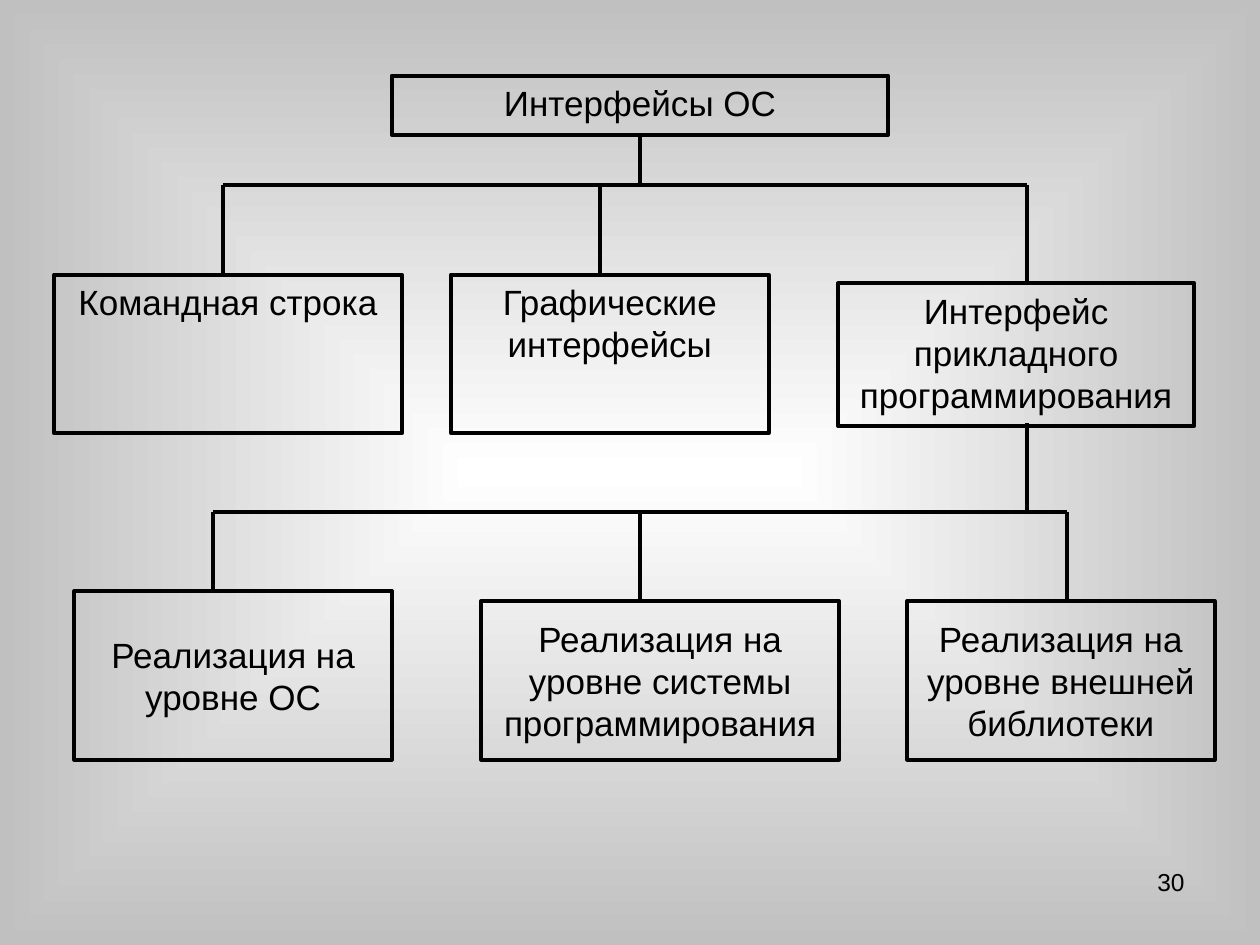
import lxml.etree
import pptx
import pptx.util
import pptx.dml.color
import pptx.enum.shapes
import pptx.enum.text
import pptx.oxml
import pptx.oxml.ns
from pptx.util import Inches

COLORS = {"ink": "000000", "center": "FFFFFF", "edge": "C0C0C0"}
FONT = "Arial"
ANCHOR = pptx.enum.text.MSO_ANCHOR
ALIGN = pptx.enum.text.PP_ALIGN

# text, left, top, width, height, vertical anchor
BOXES = [
    ("Интерфейсы ОС", 3.11, 0.6, 3.94, 0.47, ANCHOR.TOP),
    ("Графические интерфейсы", 3.58, 2.18, 2.52, 1.26, ANCHOR.TOP),
    ("Командная строка", 0.43, 2.18, 2.76, 1.26, ANCHOR.TOP),
    ("Интерфейс прикладного программирования", 6.65, 2.25, 2.83, 1.13, ANCHOR.TOP),
    ("Реализация на уровне ОС", 0.59, 4.69, 2.52, 1.34, ANCHOR.MIDDLE),
    ("Реализация на уровне системы программирования", 3.82, 4.77, 2.84, 1.26, ANCHOR.MIDDLE),
    ("Реализация на уровне внешней библиотеки", 7.2, 4.77, 2.44, 1.26, ANCHOR.MIDDLE),
]

# Each branch: stem from the parent, height of the bar, (x, bottom) of each drop
BRANCHES = [
    {"stem": (5.08, 1.07), "bar": 1.47, "drops": [(1.77, 2.18), (4.76, 2.18), (8.15, 2.25)]},
    {"stem": (8.15, 3.36), "bar": 4.06, "drops": [(1.69, 4.69), (5.08, 4.77), (8.47, 4.77)]},
]
PAGE_NUMBER = ("30", 7.17, 6.83, 2.33, 0.52)


def rgb(name):
    """Return a named colour."""
    return pptx.dml.color.RGBColor.from_string(COLORS[name])


def paint_background(page):
    """Fill the page with a gradient that spreads from its centre."""
    fill = page.background.fill
    fill.gradient()
    for stop, name, position in zip(fill.gradient_stops, ("center", "edge"), (0, 1)):
        stop.color.rgb = rgb(name)
        stop.position = position
    linear = next(page.element.iter(pptx.oxml.ns.qn("a:lin")))
    linear.getparent().replace(linear, pptx.oxml.parse_xml(
        f'<a:path {pptx.oxml.ns.nsdecls("a")} path="rect">'
        '<a:fillToRect l="50000" t="50000" r="50000" b="50000"/></a:path>'))


def write(shape, text, size, align, anchor):
    """Put one formatted paragraph into a shape."""
    frame = shape.text_frame
    frame.word_wrap = True
    frame.vertical_anchor = anchor
    frame.text = text
    para = frame.paragraphs[0]
    para.alignment = align
    font = para.runs[0].font
    font.name, font.size = FONT, pptx.util.Pt(size)
    font.color.rgb = rgb("ink")


def style_line(line):
    """Give a line the stroke of the diagram."""
    line.color.rgb = rgb("ink")
    line.width = pptx.util.Pt(2.25)


def add_box(shapes, text, left, top, width, height, anchor):
    """Add an outlined box with centred text."""
    box = shapes.add_shape(pptx.enum.shapes.MSO_SHAPE.RECTANGLE,
                           *map(Inches, (left, top, width, height)))
    box.shadow.inherit = False
    box.fill.background()
    style_line(box.line)
    write(box, text, 20, ALIGN.CENTER, anchor)


def add_line(shapes, *ends):
    """Add a straight line from x1, y1 to x2, y2."""
    line = shapes.add_connector(pptx.enum.shapes.MSO_CONNECTOR.STRAIGHT, *map(Inches, ends))
    style_line(line.line)
    lxml.etree.SubElement(line.element.spPr, pptx.oxml.ns.qn("a:effectLst"))


def add_branch(shapes, stem, bar, drops):
    """Join a parent to its children through a horizontal bar."""
    x, top = stem
    add_line(shapes, drops[0][0], bar, drops[-1][0], bar)
    add_line(shapes, x, top, x, bar)
    for x, bottom in drops:
        add_line(shapes, x, bar, x, bottom)


def build():
    """Build and save the slide."""
    deck = pptx.Presentation()
    deck.slide_width, deck.slide_height = Inches(10), Inches(7.5)
    page = deck.slides.add_slide(deck.slide_layouts[6])
    paint_background(page)
    diagram = page.shapes.add_group_shape().shapes
    for box in BOXES:
        add_box(diagram, *box)
    for branch in BRANCHES:
        add_branch(diagram, **branch)
    text, *place = PAGE_NUMBER
    number = page.shapes.add_textbox(*map(Inches, place))
    write(number, text, 14, ALIGN.RIGHT, ANCHOR.TOP)
    deck.save("out.pptx")


build()
